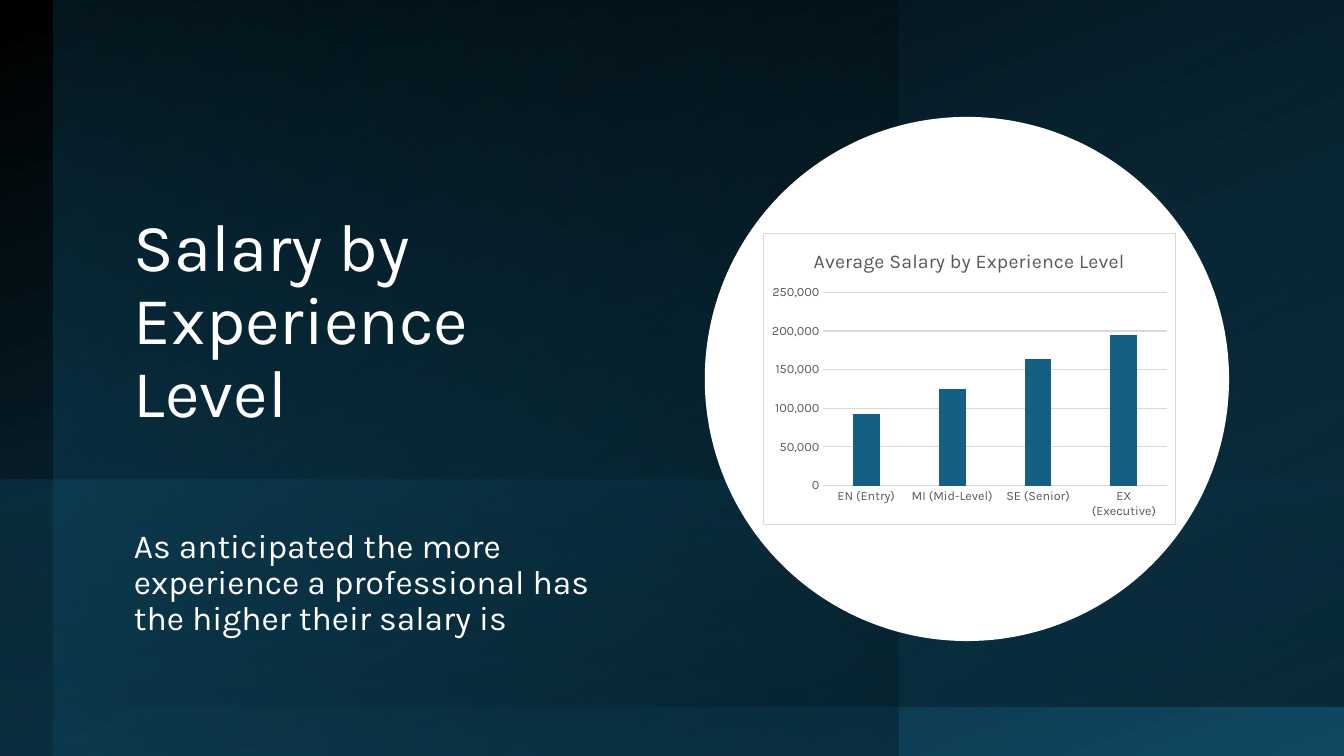
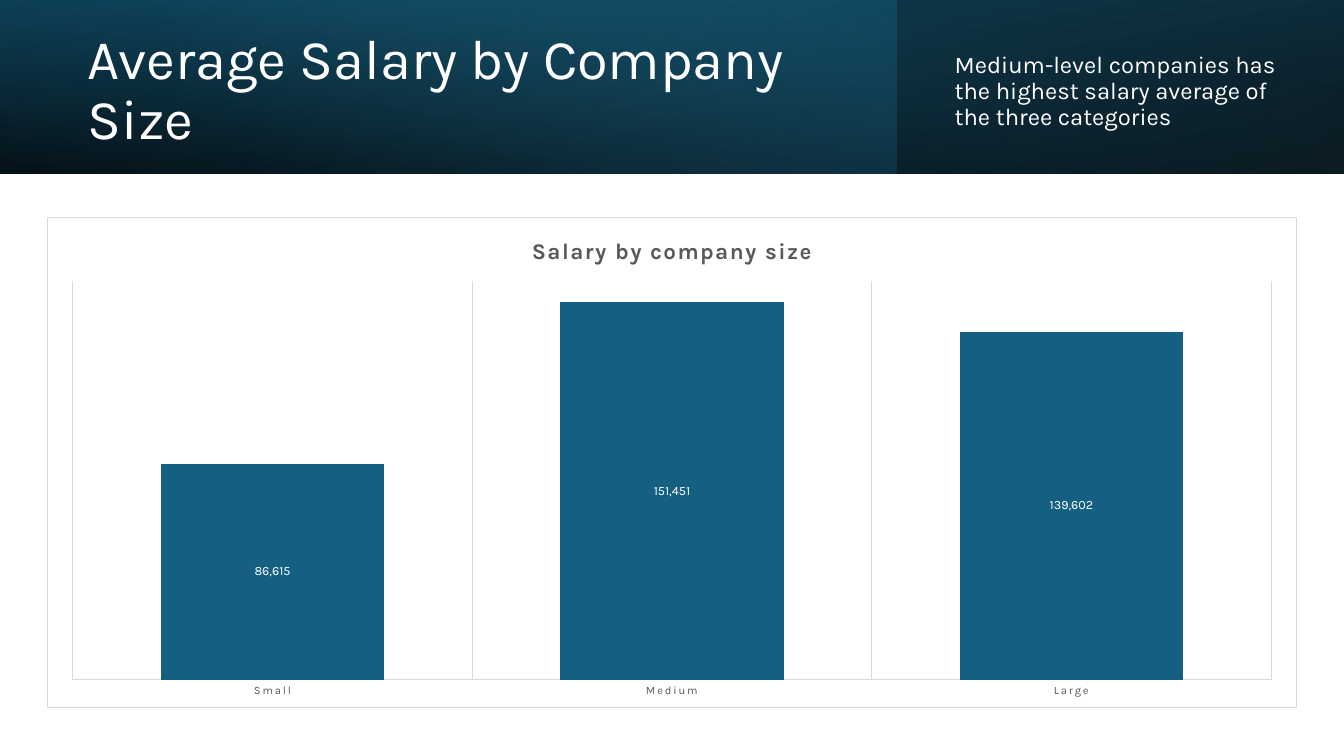
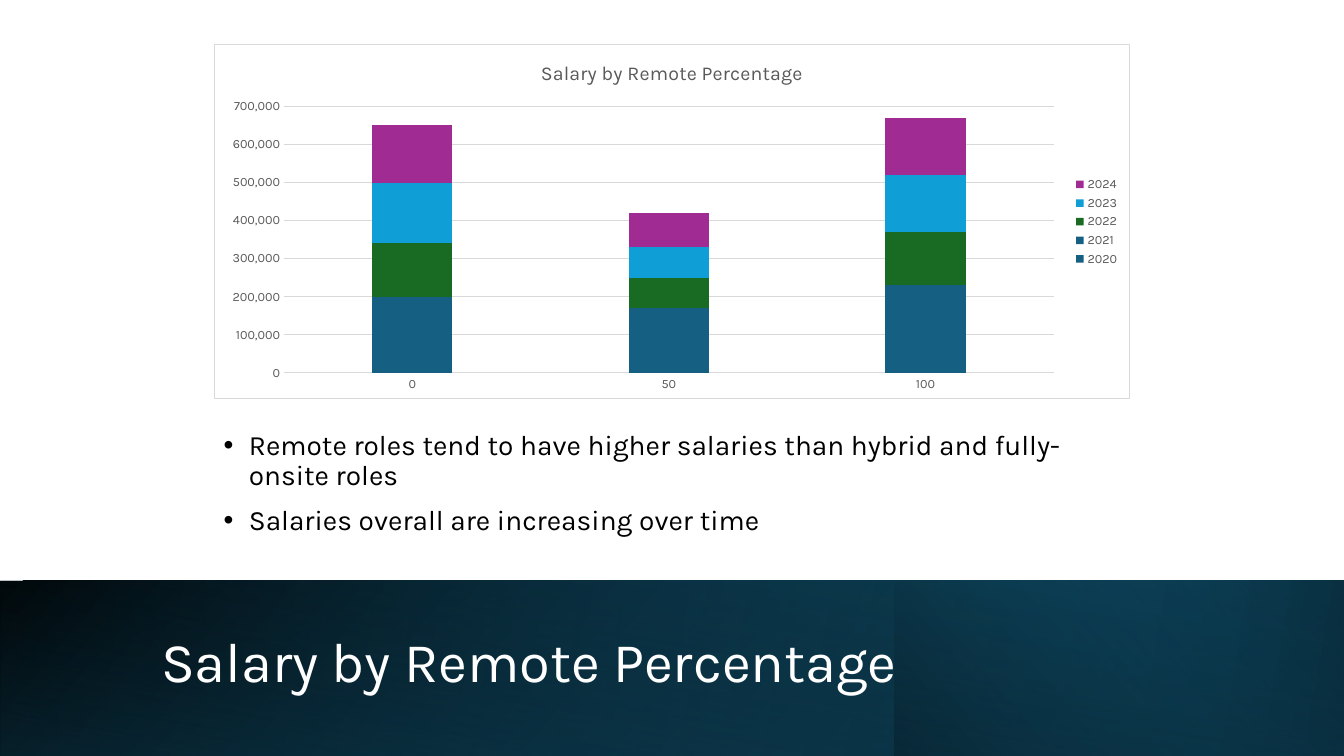
from lxml import etree
from pptx import Presentation
from pptx.chart.data import CategoryChartData
from pptx.dml.color import RGBColor
from pptx.enum.chart import XL_CHART_TYPE, XL_LABEL_POSITION, XL_LEGEND_POSITION, XL_TICK_MARK
from pptx.enum.shapes import MSO_SHAPE
from pptx.enum.text import MSO_ANCHOR
from pptx.oxml import parse_xml
from pptx.oxml.ns import nsdecls, qn
from pptx.util import Inches, Pt

RECT, OVAL = MSO_SHAPE.RECTANGLE, MSO_SHAPE.OVAL
TOP, MIDDLE, BOTTOM = MSO_ANCHOR.TOP, MSO_ANCHOR.MIDDLE, MSO_ANCHOR.BOTTOM
CLUSTERED, STACKED = XL_CHART_TYPE.COLUMN_CLUSTERED, XL_CHART_TYPE.COLUMN_STACKED
NO_TICK = XL_TICK_MARK.NONE
LABEL_CENTER = XL_LABEL_POSITION.CENTER
LEGEND_RIGHT = XL_LEGEND_POSITION.RIGHT

FONT = "Karla"
NUMBERS = "#,##0"
WIDTH, HEIGHT = 13.33, 7.5
COLORS = {
    "white": "FFFFFF", "black": "000000", "gray": "595959", "rule": "D9D9D9",
    "blue": "156082", "deep": "104862", "navy": "0B3041", "sky": "46B1E1",
    "green": "196B24", "cyan": "0F9ED5", "purple": "A02B93",
}


def rgb(name):
    return RGBColor.from_string(COLORS[name])


def inches(box):
    return [Inches(length) for length in box]


def add_panel(page, box, stops, angle, flip=True, rotation=0):
    """Rectangle with a gradient; stops are (position, colour, opacity) in percent."""
    panel = page.shapes.add_shape(RECT, *inches(box))
    panel.shadow.inherit = False
    panel.line.fill.background()
    panel.rotation = rotation
    props = panel._element.spPr
    frame = props.find(qn("a:xfrm"))
    if flip:
        frame.set("flipH", "1")
    marks = "".join(
        f'<a:gs pos="{position * 1000}"><a:srgbClr val="{COLORS[name]}">'
        f'<a:alpha val="{opacity * 1000}"/></a:srgbClr></a:gs>'
        for position, name, opacity in stops)
    gradient = parse_xml(
        f'<a:gradFill {nsdecls("a")}><a:gsLst>{marks}</a:gsLst>'
        f'<a:lin ang="{angle * 60000}" scaled="0"/></a:gradFill>')
    props.find(qn("a:prstGeom")).addnext(gradient)


def add_text(page, box, lines, size, anchor=TOP, color="white", before=10, bullet=False):
    frame = page.shapes.add_textbox(*inches(box)).text_frame
    frame.word_wrap = True
    frame.vertical_anchor = anchor
    for index, line in enumerate(lines):
        para = frame.paragraphs[0] if index == 0 else frame.add_paragraph()
        para.text = line
        para.line_spacing = 0.9
        para.space_before = Pt(before)
        style_font(para.font, size, color)
        if bullet:
            props = para._p.get_or_add_pPr()
            props.set("marL", str(Inches(0.25)))
            props.set("indent", str(-Inches(0.25)))
            for mark in (f'<a:buFont {nsdecls("a")} typeface="Arial"/>',
                         f'<a:buChar {nsdecls("a")} char="•"/>'):
                props.find(qn("a:defRPr")).addprevious(parse_xml(mark))


def add_title(page, box, title, size=40, anchor=MIDDLE):
    add_text(page, box, [title], size, anchor, before=0)


def style_font(font, size, color="gray", bold=False):
    font.name = FONT
    font.size = Pt(size)
    font.bold = bold
    font.color.rgb = rgb(color)


def style_line(line):
    line.color.rgb = rgb("rule")
    line.width = Pt(0.75)


def frame_chart(chart):
    """White chart area with a thin grey border."""
    area = parse_xml(
        f'<c:spPr {nsdecls("c", "a")}><a:solidFill><a:srgbClr val="{COLORS["white"]}"/></a:solidFill>'
        f'<a:ln w="{Pt(0.75)}"><a:solidFill><a:srgbClr val="{COLORS["rule"]}"/></a:solidFill></a:ln></c:spPr>')
    space = chart._chartSpace
    space.find(qn("c:chart")).addnext(area)
    if space.find(qn("c:roundedCorners")) is None:
        corners = etree.Element(qn("c:roundedCorners"), val="0")
        space.find(qn("c:chart")).addprevious(corners)


def add_columns(page, box, kind, title, categories, series, top, step, gap=219):
    """Column chart; series are (name, colour, values)."""
    data = CategoryChartData(number_format=NUMBERS)
    data.categories = categories
    for name, _, values in series:
        data.add_series(name, values)
    chart = page.shapes.add_chart(kind, *inches(box), data).chart
    style_font(chart.font, 10, "black")
    frame_chart(chart)
    chart.has_legend = False

    chart.has_title = True
    chart.chart_title.include_in_layout = False
    heading = chart.chart_title.text_frame
    heading.text = title
    style_font(heading.paragraphs[0].runs[0].font, 14)

    plot = chart.plots[0]
    plot.gap_width = gap
    plot.vary_by_categories = False
    if kind == STACKED:
        plot.overlap = 100
    for column, (_, color, _) in zip(plot.series, series):
        column.format.fill.solid()
        column.format.fill.fore_color.rgb = rgb(color)

    for axis in (chart.category_axis, chart.value_axis):
        axis.major_tick_mark = axis.minor_tick_mark = NO_TICK
        style_font(axis.tick_labels.font, 9)
    style_line(chart.category_axis.format.line)
    scale = chart.value_axis
    scale.minimum_scale, scale.maximum_scale, scale.major_unit = 0, top, step
    scale.tick_labels.number_format = NUMBERS
    scale.tick_labels.number_format_is_linked = False
    scale.format.line.fill.background()
    style_line(scale.major_gridlines.format.line)
    return chart


def experience_slide(page):
    # Layered background
    add_panel(page, (0, 0, WIDTH, HEIGHT), [(0, "black", 100), (100, "deep", 100)], 110)
    add_panel(page, (0.53, 0, 8.38, HEIGHT), [(0, "deep", 45), (100, "black", 29)], 200)
    add_panel(page, (0.53, 0, 12.81, 7.01), [(0, "blue", 0), (100, "black", 41)], 300, rotation=180)
    add_panel(page, (5.3, -0.54, 2.74, WIDTH), [(0, "blue", 24), (78, "navy", 0)], 170,
              flip=False, rotation=270)
    # Words
    add_title(page, (1.23, 0.94, 5.19, 3.39), "Salary by Experience Level", 48, BOTTOM)
    add_text(page, (1.23, 5.2, 4.8, 1.36),
             ["As anticipated the more experience a professional has the higher their salary is"], 24)
    # Chart on a white disc
    disc = page.shapes.add_shape(OVAL, *inches((6.99, 1.16, 5.2, 5.2)))
    disc.shadow.inherit = False
    disc.fill.solid()
    disc.fill.fore_color.rgb = rgb("white")
    disc.line.fill.background()
    add_columns(page, (7.57, 2.31, 4.09, 2.9), CLUSTERED, "Average Salary by Experience Level",
                ["EN (Entry)", "MI (Mid-Level)", "SE (Senior)", "EX (Executive)"],
                [("Series 1", "blue", [92000, 125000, 164000, 195000])], 250000, 50000)


def company_slide(page):
    # Header band
    band = (0, 0, WIDTH, 1.72)
    add_panel(page, band, [(0, "black", 96), (100, "deep", 100)], 100, rotation=180)
    add_panel(page, (0, 0, 8.89, 1.72), [(0, "blue", 41), (74, "sky", 0)], 140, flip=False)
    add_panel(page, band, [(0, "black", 63), (78, "blue", 15)], 260)
    add_title(page, (0.77, 0.27, 7.72, 1.27), "Average Salary by Company Size")
    add_text(page, (9.37, 0.43, 3.54, 0.96),
             ["Medium-level companies has the highest salary average of the three categories"],
             17, MIDDLE)
    # Chart with values inside the columns
    chart = add_columns(page, (0.47, 2.15, 12.39, 4.87), STACKED, "Salary by company size",
                        ["Small", "Medium", "Large"],
                        [("Series 1", "blue", [86615, 151451, 139602])], 160000, 20000, gap=79)
    heading = chart.chart_title.text_frame.paragraphs[0].runs[0]
    style_font(heading.font, 16, bold=True)
    heading._r.get_or_add_rPr().set("spc", "120")
    chart.value_axis.visible = False
    chart.value_axis.has_major_gridlines = False
    sizes = chart.category_axis
    style_line(sizes.major_gridlines.format.line)
    style_font(sizes.tick_labels.font, 8)
    sizes.tick_labels.font._element.set("spc", "120")
    labels = chart.plots[0].series[0].data_labels
    labels.show_value = True
    labels.position = LABEL_CENTER
    labels.number_format = NUMBERS
    labels.number_format_is_linked = False
    style_font(labels.font, 9, "white")


def remote_slide(page):
    # Footer band
    band = (0, 5.76, WIDTH, 1.74)
    add_panel(page, band, [(0, "black", 100), (100, "blue", 100)], 140)
    add_panel(page, band, [(0, "blue", 0), (100, "navy", 100)], 170)
    add_panel(page, (8.87, 5.76, 4.46, 1.74), [(0, "navy", 100), (100, "blue", 0)], 220)
    add_panel(page, band, [(0, "black", 0), (99, "navy", 55)], 280, flip=False, rotation=180)
    add_title(page, (1.5, 6.03, 10.82, 1.13), "Salary by Remote Percentage")
    # Findings
    add_text(page, (2.12, 4.19, 9.11, 1.22),
             ["Remote roles tend to have higher salaries than hybrid and fully-onsite roles",
              "Salaries overall are increasing over time"], 20, MIDDLE, "black", bullet=True)
    # Chart by year
    chart = add_columns(page, (2.12, 0.44, 9.09, 3.52), STACKED, "Salary by Remote Percentage",
                        ["0", "50", "100"],
                        [("2020", "blue", [90000, 90000, 120000]),
                         ("2021", "blue", [110000, 80000, 110000]),
                         ("2022", "green", [140000, 80000, 140000]),
                         ("2023", "cyan", [160000, 80000, 150000]),
                         ("2024", "purple", [150000, 90000, 150000])], 700000, 100000)
    chart.has_legend = True
    chart.legend.position = LEGEND_RIGHT
    chart.legend.include_in_layout = False
    style_font(chart.legend.font, 9)


def main():
    deck = Presentation()
    deck.slide_width, deck.slide_height = Inches(WIDTH), Inches(HEIGHT)
    blank = deck.slide_layouts[6]
    for build in (experience_slide, company_slide, remote_slide):
        build(deck.slides.add_slide(blank))
    deck.save("out.pptx")


if __name__ == "__main__":
    main()
